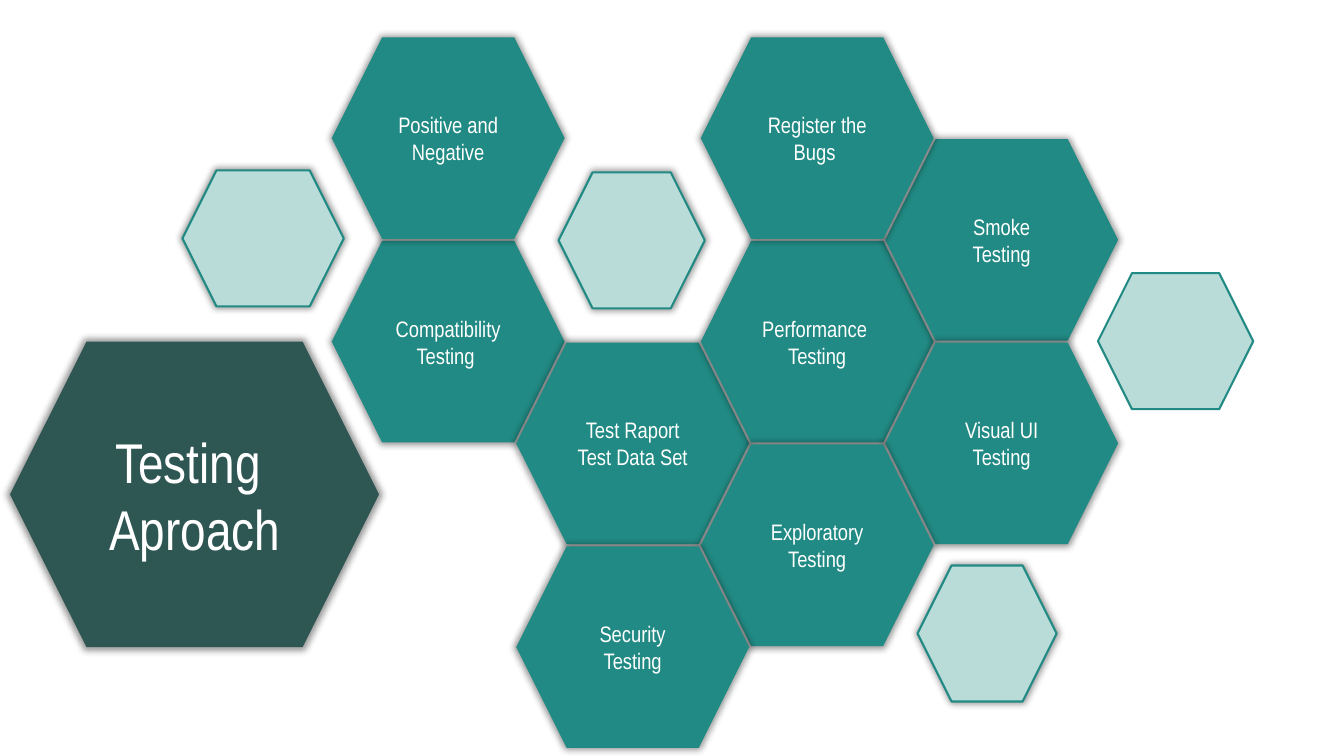
"""Build the honeycomb slide of testing approaches."""
from dataclasses import dataclass

from lxml import etree
from pptx import Presentation
from pptx.dml.color import RGBColor
from pptx.enum import shapes, text
from pptx.oxml import ns
from pptx.util import Inches, Pt


@dataclass(frozen=True)
class Theme:
    """Hold the font, colours and sizes."""
    font: str = "Arial Narrow"
    dark: str = "2E5652"
    teal: str = "228A84"
    pale: str = "B9DCD8"
    white: str = "FFFFFF"
    shadow: str = "000000"
    title_size: int = 40
    tile_size: int = 16
    outline: float = 1.5


THEME = Theme()
TILE_SIZE = (2.31, 2)
GRID_ORIGIN = (3.29, 0.37)
GRID_PITCH = (1.83, 1.01)
TITLE_BOX = (0.1, 3.39, 3.66, 3.03)
ACCENT_HEIGHT = 1.35

TILES = [
    (0, 2, "Compatibility Testing "),
    (0, 0, "Positive and Negative"),
    (1, 3, "Test Raport\vTest Data Set"),
    (2, 2, "Performance \vTesting"),
    (3, 1, "Smoke\vTesting"),
    (3, 3, "Visual UI\vTesting"),
    (2, 0, "Register the\vBugs "),
    (2, 4, "Exploratory\nTesting"),
    (1, 5, "Security\vTesting"),
]
ACCENTS = [
    (1.81, 1.69, 1.6, True),
    (9.1, 5.61, 1.38, True),
    (5.54, 1.71, 1.45, True),
    (10.89, 2.71, 1.54, False),
]


def write_text(shape, content, size, color=THEME.white):
    """Write centred, wrapped text into a shape."""
    frame = shape.text_frame
    frame.word_wrap = True
    frame.auto_size = text.MSO_AUTO_SIZE.NONE
    frame.vertical_anchor = text.MSO_ANCHOR.MIDDLE
    frame.text = content
    for paragraph in frame.paragraphs:
        paragraph.alignment = text.PP_ALIGN.CENTER
        for run in paragraph.runs:
            run.font.name = THEME.font
            run.font.size = Pt(size)
            run.font.color.rgb = RGBColor.from_string(color)


def add_glow_shadow(shape):
    """Give a shape a soft shadow on all sides."""
    effects = shape.element.spPr.find(ns.qn("a:effectLst"))
    outer = etree.SubElement(effects, ns.qn("a:outerShdw"), blurRad="63500",
                             sx="102000", sy="102000", algn="ctr", rotWithShape="0")
    color = etree.SubElement(outer, ns.qn("a:srgbClr"), val=THEME.shadow)
    etree.SubElement(color, ns.qn("a:alpha"), val="40000")


def add_hexagon(slide, box, fill, line=None, shadow=True):
    """Add a filled hexagon, optionally outlined and shadowed."""
    shape = slide.shapes.add_shape(shapes.MSO_SHAPE.HEXAGON, *map(Inches, box))
    shape.fill.solid()
    shape.fill.fore_color.rgb = RGBColor.from_string(fill)
    if line:
        shape.line.color.rgb = RGBColor.from_string(line)
        shape.line.width = Pt(THEME.outline)
    else:
        shape.line.fill.background()
    shape.shadow.inherit = False
    if shadow:
        add_glow_shadow(shape)
    return shape


def add_title(slide):
    """Set the slide title on a large dark hexagon."""
    hexagon = add_hexagon(slide, TITLE_BOX, THEME.dark)
    title = slide.shapes.title
    title.left, title.top, title.width, title.height = map(Inches, TITLE_BOX)
    write_text(title, "Testing \nAproach", THEME.title_size)
    hexagon.element.addnext(title.element)


def add_tile(slide, column, row, label):
    """Add a labelled hexagon at a honeycomb position."""
    left = GRID_ORIGIN[0] + column * GRID_PITCH[0]
    top = GRID_ORIGIN[1] + row * GRID_PITCH[1]
    tile = add_hexagon(slide, (left, top, *TILE_SIZE), THEME.teal)
    write_text(tile, label, THEME.tile_size)


def main():
    """Build and save the presentation."""
    presentation = Presentation()
    presentation.slide_width = Inches(13.33)
    presentation.slide_height = Inches(7.5)
    slide = presentation.slides.add_slide(presentation.slide_layouts[5])
    add_title(slide)
    for column, row, label in TILES:
        add_tile(slide, column, row, label)
    for left, top, width, shadow in ACCENTS:
        add_hexagon(slide, (left, top, width, ACCENT_HEIGHT), THEME.pale,
                    line=THEME.teal, shadow=shadow)
    presentation.save("out.pptx")


if __name__ == "__main__":
    main()
